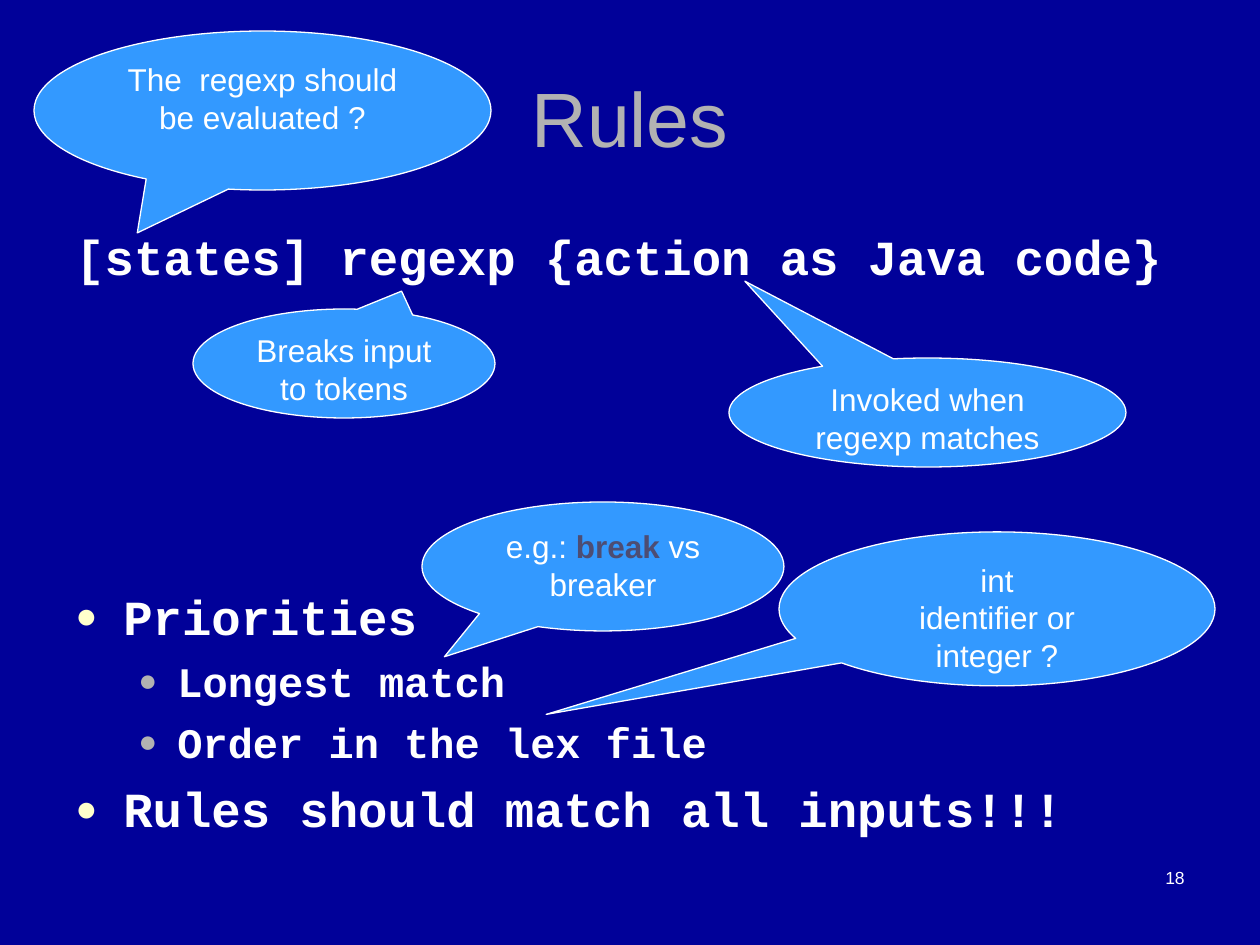
from lxml.etree import SubElement
from pptx import Presentation
from pptx.dml.color import RGBColor
from pptx.enum.shapes import MSO_SHAPE
from pptx.enum.text import MSO_ANCHOR, PP_ALIGN
from pptx.oxml.ns import qn
from pptx.util import Pt

PX = 914400 / 126
WHITE, GREY, CREAM, SKY, NAVY, SLATE = (
    "FFFFFF", "B2B2B2", "FFFFCC", "3399FF", "010199", "4D4D73")

TITLE = ("Rules", (63, 38, 1134, 158), 44, GREY, PP_ALIGN.CENTER, MSO_ANCHOR.MIDDLE)
PAGE = ("18", (903, 861, 294, 63), 10, WHITE, PP_ALIGN.RIGHT, MSO_ANCHOR.TOP)
RULES_BOX = (63, 220, 1134, 624)
RULES = [
    ("[states] regexp {action as Java code}", "syntax", 7),
    ("Priorities", "point", 172),
    ("Longest match", "detail", 6),
    ("Order in the lex file", "detail", 6),
    ("Rules should match all inputs!!!", "point", 7),
]
LEVELS = {
    "syntax": {"size": 28, "margin": 48, "hang": 48, "bullet": None},
    "point": {"size": 28, "margin": 48, "hang": 48, "bullet": CREAM},
    "detail": {"size": 24, "margin": 102, "hang": 39, "bullet": GREY},
}
CALLOUTS = [
    ((193, 309, 302, 109), (0.191, -0.664), [["Breaks input to tokens"]]),
    ((729, 358, 397, 109), (-0.46, -1.205), [["Invoked when regexp matches"]]),
    ((422, 502, 362, 129), (-0.438, 0.7), [["e.g.: ", "break", " vs"], ["breaker"]]),
    ((779, 532, 436, 154), (-1.034, 0.685), [["int"], ["identifier or integer ?"]]),
    ((34, 31, 457, 159), (-0.274, 0.77), [["The  regexp should be evaluated ?"]]),
]
KEYWORDS = {"break": SLATE}


def px(length):
    return round(length * PX)


def color(value):
    return RGBColor.from_string(value)


def add_run(paragraph, words, size, ink, face="Arial", bold=False):
    run = paragraph.add_run()
    run.text = words
    style = {"name": face, "size": Pt(size), "bold": bold}
    for key, value in style.items():
        setattr(run.font, key, value)
    run.font.color.rgb = color(ink)


def add_box(slide, box):
    frame = slide.shapes.add_textbox(*map(px, box)).text_frame
    frame.word_wrap = True
    return frame


def add_label(slide, words, box, size, ink, align, anchor):
    frame = add_box(slide, box)
    frame.vertical_anchor = anchor
    frame.paragraphs[0].alignment = align
    add_run(frame.paragraphs[0], words, size, ink)


def next_paragraph(frame, index):
    return frame.add_paragraph() if index else frame.paragraphs[0]


def set_bullet(properties, ink):
    tint = SubElement(properties, qn("a:buClr"))
    SubElement(tint, qn("a:srgbClr"), val=ink)
    SubElement(properties, qn("a:buSzPct"), val="75000")
    SubElement(properties, qn("a:buFont"), typeface="Arial")
    SubElement(properties, qn("a:buChar"), char="●")


def add_rules(slide):
    frame = add_box(slide, RULES_BOX)
    for index, (words, level, before) in enumerate(RULES):
        look = LEVELS[level]
        paragraph = next_paragraph(frame, index)
        paragraph.space_before = Pt(before)
        paragraph.level = int(level == "detail")
        properties = paragraph._p.get_or_add_pPr()
        properties.set("marL", str(px(look["margin"])))
        properties.set("indent", str(-px(look["hang"])))
        if look["bullet"]:
            set_bullet(properties, look["bullet"])
        add_run(paragraph, words, look["size"], WHITE, "Courier New", True)


def add_callout(slide, box, tip, lines):
    callout = slide.shapes.add_shape(MSO_SHAPE.OVAL_CALLOUT, *map(px, box))
    callout.shadow.inherit = False
    callout.fill.solid()
    callout.fill.fore_color.rgb = color(SKY)
    callout.line.color.rgb = color(WHITE)
    callout.line.width = Pt(0.75)
    for index, offset in enumerate(tip):
        callout.adjustments[index] = offset
    frame = callout.text_frame
    frame.word_wrap = True
    frame.vertical_anchor = MSO_ANCHOR.TOP
    for index, pieces in enumerate(lines):
        paragraph = next_paragraph(frame, index)
        paragraph.alignment = PP_ALIGN.CENTER
        for words in pieces:
            add_run(paragraph, words, 18, KEYWORDS.get(words, WHITE),
                    bold=words in KEYWORDS)


def main():
    deck = Presentation()
    deck.slide_width, deck.slide_height = px(1260), px(945)
    slide = deck.slides.add_slide(deck.slide_layouts[6])
    slide.background.fill.solid()
    slide.background.fill.fore_color.rgb = color(NAVY)
    for label in (PAGE, TITLE):
        add_label(slide, *label)
    add_rules(slide)
    for callout in CALLOUTS:
        add_callout(slide, *callout)
    deck.save("out.pptx")


if __name__ == "__main__":
    main()
